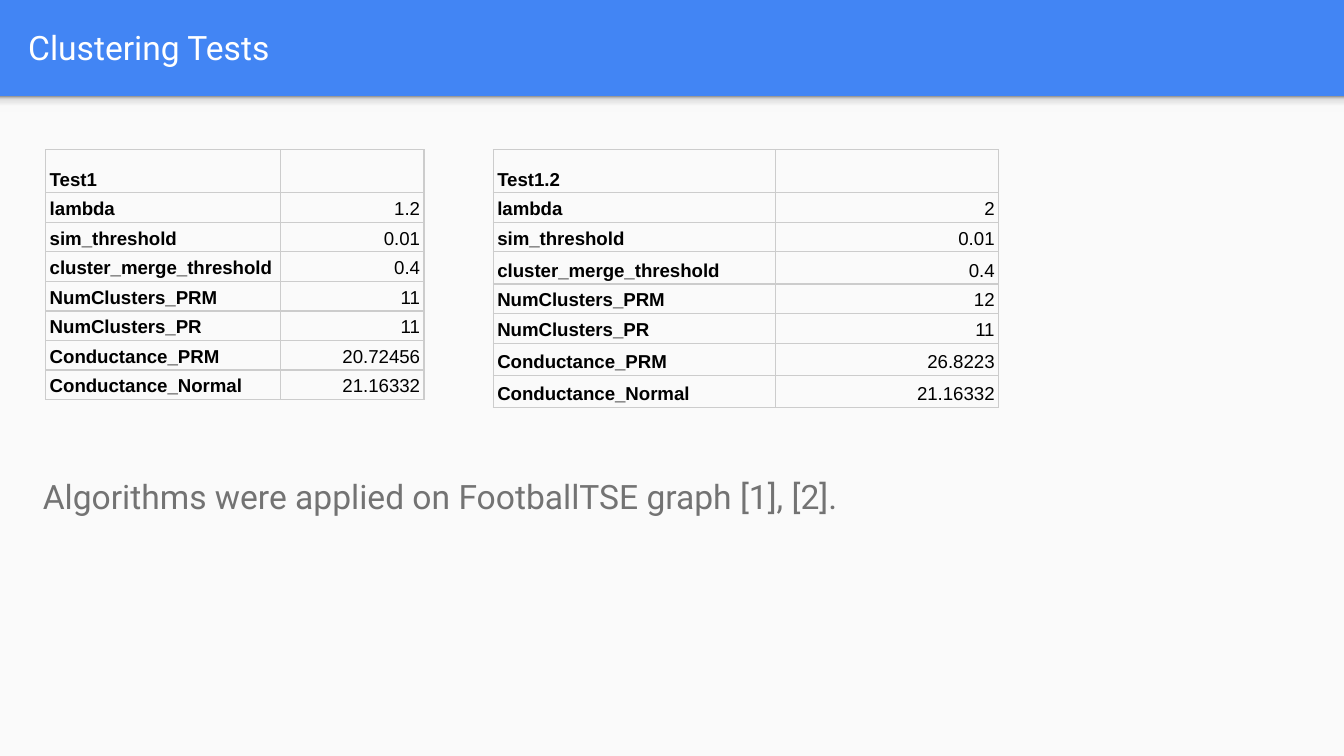
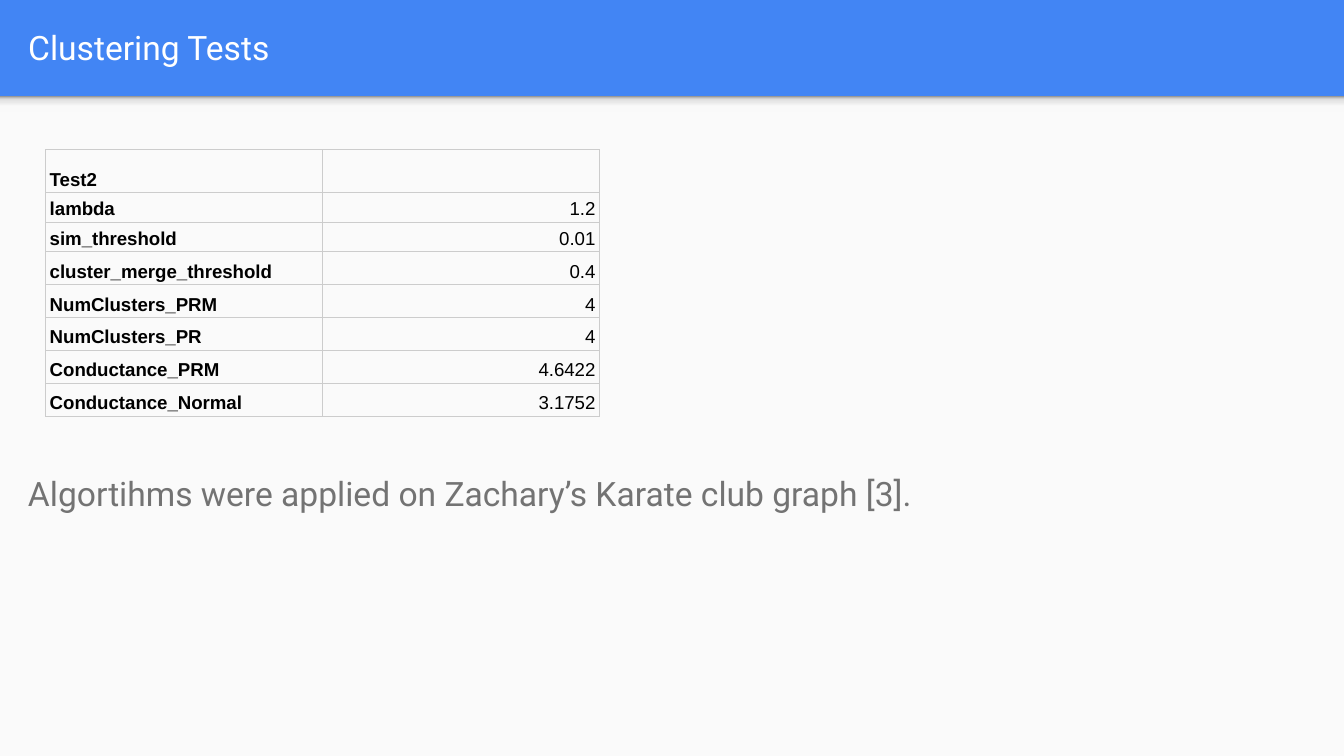
from dataclasses import dataclass

from lxml.etree import SubElement as Sub
from pptx import Presentation
from pptx.dml.color import RGBColor as RGB
from pptx.enum.shapes import MSO_SHAPE as Shape
from pptx.enum.text import MSO_ANCHOR as Anchor, MSO_AUTO_SIZE as AutoSize, PP_ALIGN as Align
from pptx.oxml.ns import qn
from pptx.util import Emu, Pt

PX = 4572  # 200 px to the inch
WIDTH, HEIGHT, HEADER = 2000, 1125, 143


@dataclass(frozen=True)
class Theme:
    header: str = "4285F4"
    panel: str = "FAFAFA"
    title: str = "FFFFFF"
    body: str = "737373"
    cell: str = "000000"
    border: str = "CCCCCC"
    # Header shadow, from its lower edge up: (percent, colour)
    shadow: tuple = ((0, "F9F9F9"), (36, "F9F9F9"), (80, "DEDEDE"), (100, "999999"))
    font: str = "Roboto"
    table_font: str = "Arial"
    text_size: int = 18
    cell_size: int = 10
    border_width: float = 0.75
    line_spacing: float = 1.15


@dataclass(frozen=True)
class Box:
    x: int
    y: int
    w: int
    h: int


@dataclass(frozen=True)
class ResultTable:
    name: str
    x: int
    cols: tuple
    rows: tuple
    values: tuple


@dataclass(frozen=True)
class TestSlide:
    tables: tuple
    note: str
    note_box: Box


THEME = Theme()
TITLE = "Clustering Tests"
TITLE_BOX = Box(22, 4, 1930, 132)
TABLE_TOP = 223
LABELS = ("lambda", "sim_threshold", "cluster_merge_threshold", "NumClusters_PRM",
          "NumClusters_PR", "Conductance_PRM", "Conductance_Normal")

SLIDES = (
    TestSlide(
        (ResultTable("Test1", 68, (349, 214), (64,) + (44,) * 7,
                     ("1.2", "0.01", "0.4", "11", "11", "20.72456", "21.16332")),
         ResultTable("Test1.2", 734, (420, 332), (64, 44, 44, 48, 44, 44, 48, 48),
                     ("2", "0.01", "0.4", "12", "11", "26.8223", "21.16332"))),
        "Algorithms were applied on FootballTSE graph [1], [2].",
        Box(44, 680, 1864, 400)),
    TestSlide(
        (ResultTable("Test2", 68, (412, 412), (64, 44, 44) + (49,) * 5,
                     ("1.2", "0.01", "0.4", "4", "4", "4.6422", "3.1752")),),
        "Algortihms were applied on Zachary’s Karate club graph [3].",
        Box(22, 675, 1864, 400)),
)


def px(n: int) -> Emu:
    return Emu(n * PX)


def place(s, box: Box) -> None:
    s.left, s.top, s.width, s.height = map(px, (box.x, box.y, box.w, box.h))


def write(tf, text: str, *, size: int, color: str, font: str, bold: bool = False,
          align=Align.LEFT, spacing: float = 1.0, after: int = 0) -> None:
    p = tf.paragraphs[0]
    p.alignment, p.line_spacing = align, spacing
    p.space_before, p.space_after = Pt(0), Pt(after)
    if not text:  # keeps an empty cell as low as its row
        Sub(p._p, qn("a:endParaRPr"), sz=str(size * 100))
        return
    r = p.add_run()
    r.text = text
    r.font.size, r.font.name, r.font.bold = Pt(size), font, bold
    r.font.color.rgb = RGB.from_string(color)


def set_frame(tf, anchor) -> None:
    tf.word_wrap, tf.auto_size, tf.vertical_anchor = True, AutoSize.NONE, anchor
    tf.margin_left = tf.margin_right = tf.margin_top = tf.margin_bottom = px(20)


def add_rect(slide, box: Box):
    s = slide.shapes.add_shape(Shape.RECTANGLE, 0, 0, 0, 0)
    place(s, box)
    s.shadow.inherit = False
    s.line.fill.background()
    return s


def add_backdrop(slide) -> None:
    panel = add_rect(slide, Box(0, HEADER, WIDTH, HEIGHT - HEADER))
    panel.fill.solid()
    panel.fill.fore_color.rgb = RGB.from_string(THEME.panel)

    # Gradient strip under the header
    strip = add_rect(slide, Box(0, HEADER, WIDTH, 24))
    strip.fill.gradient()
    strip.fill.gradient_angle = 90
    stops = strip._element.spPr.find(qn("a:gradFill")).find(qn("a:gsLst"))
    for stop in list(stops):
        stops.remove(stop)
    for percent, color in THEME.shadow:
        stop = Sub(stops, qn("a:gs"), pos=str(percent * 1000))
        Sub(stop, qn("a:srgbClr"), val=color)


def add_title(slide) -> None:
    title = slide.shapes.title
    place(title, TITLE_BOX)
    set_frame(title.text_frame, Anchor.MIDDLE)
    write(title.text_frame, TITLE, size=THEME.text_size, color=THEME.title, font=THEME.font)


def add_note(slide, text: str, box: Box) -> None:
    note = slide.shapes.add_textbox(0, 0, 0, 0)
    place(note, box)
    set_frame(note.text_frame, Anchor.TOP)
    write(note.text_frame, text, size=THEME.text_size, color=THEME.body, font=THEME.font,
          spacing=THEME.line_spacing, after=16)


def set_borders(cell) -> None:
    tc_pr = cell._tc.get_or_add_tcPr()
    for i, side in enumerate("LRTB"):
        ln = Sub(tc_pr, qn(f"a:ln{side}"), w=str(Pt(THEME.border_width)))
        Sub(Sub(ln, qn("a:solidFill")), qn("a:srgbClr"), val=THEME.border)
        tc_pr.insert(i, ln)  # borders come before the fill


def add_results(slide, data: ResultTable) -> None:
    cells = [(data.name, ""), *zip(LABELS, data.values)]
    table = slide.shapes.add_table(
        len(data.rows), len(data.cols), px(data.x), px(TABLE_TOP),
        px(sum(data.cols)), px(sum(data.rows))).table
    table.first_row = table.horz_banding = False
    for column, width in zip(table.columns, data.cols):
        column.width = px(width)
    for i, (height, texts) in enumerate(zip(data.rows, cells)):
        table.rows[i].height = px(height)
        for j, text in enumerate(texts):
            cell = table.cell(i, j)
            cell.fill.background()
            cell.vertical_anchor = Anchor.BOTTOM
            cell.margin_left = cell.margin_right = px(6)
            cell.margin_top = cell.margin_bottom = px(4)
            set_borders(cell)
            write(cell.text_frame, text, size=THEME.cell_size, color=THEME.cell,
                  font=THEME.table_font, bold=j == 0,
                  align=Align.RIGHT if j else Align.LEFT, spacing=THEME.line_spacing)


def main() -> None:
    prs = Presentation()
    prs.slide_width, prs.slide_height = px(WIDTH), px(HEIGHT)
    background = prs.slide_master.background.fill
    background.solid()
    background.fore_color.rgb = RGB.from_string(THEME.header)
    title_only = prs.slide_layouts.get_by_name("Title Only")
    for content in SLIDES:
        slide = prs.slides.add_slide(title_only)
        add_backdrop(slide)
        add_title(slide)
        add_note(slide, content.note, content.note_box)
        for data in content.tables:
            add_results(slide, data)
    prs.save("out.pptx")


if __name__ == "__main__":
    main()
